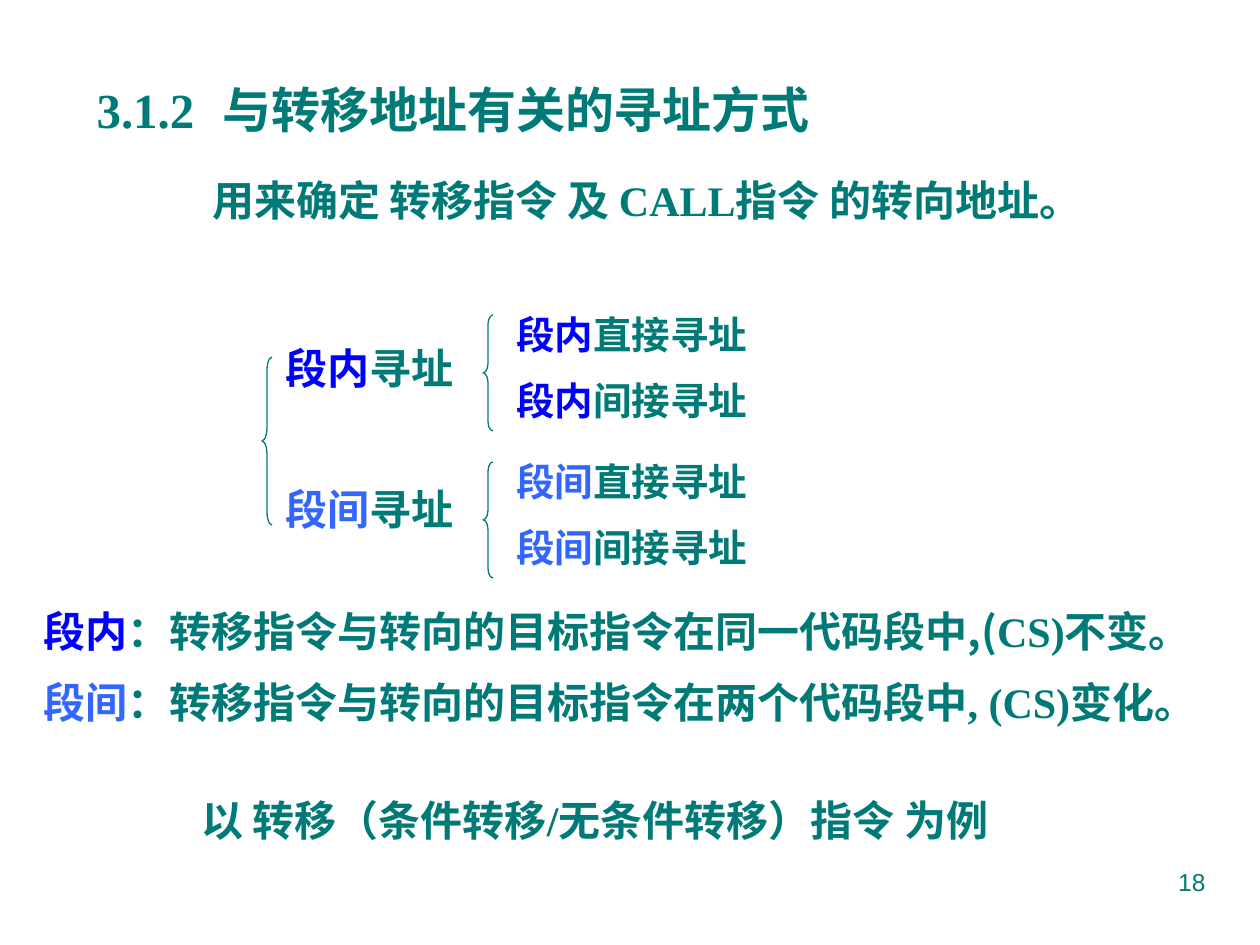
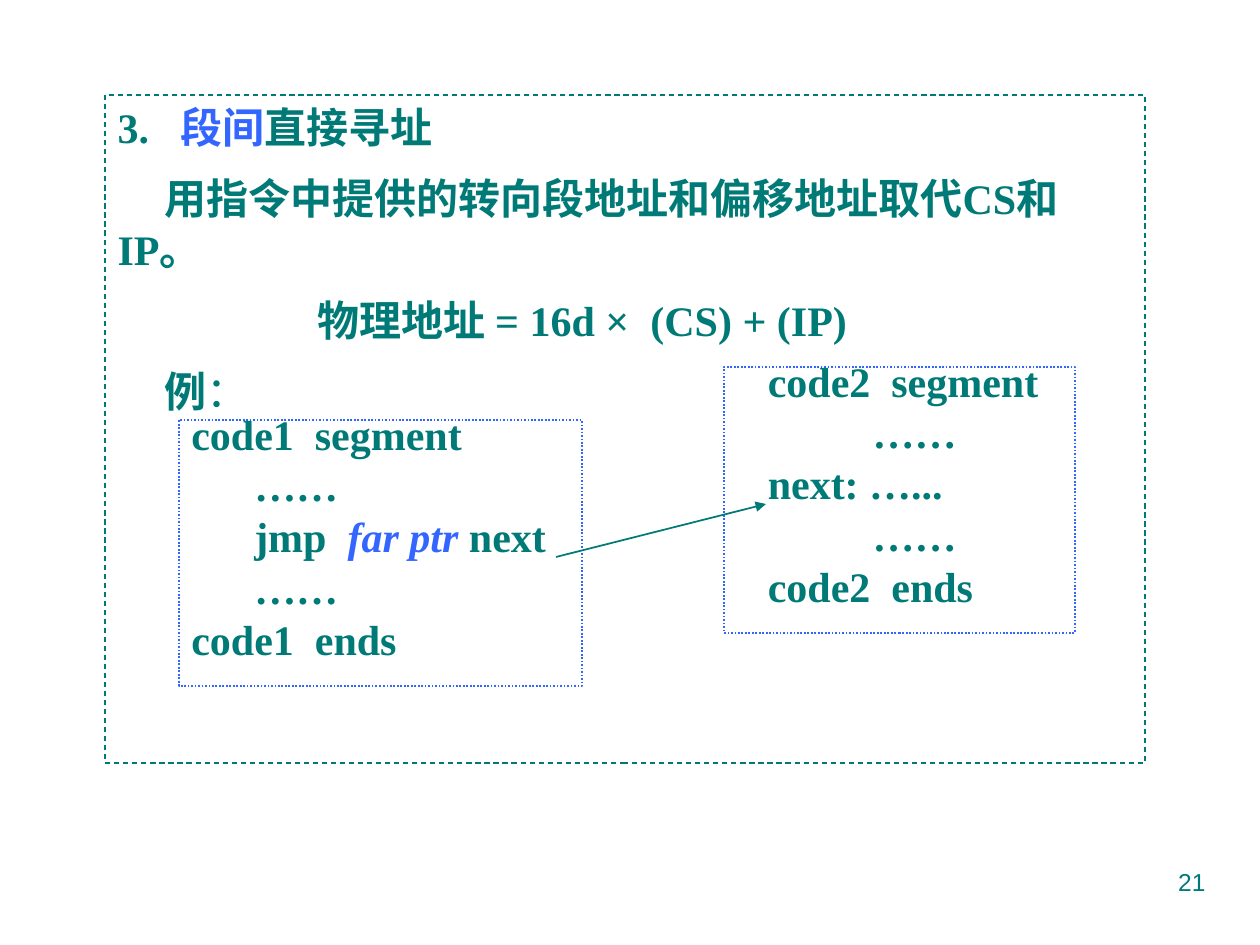
from lxml import etree
from pptx import Presentation
from pptx.dml.color import RGBColor
from pptx.enum.dml import MSO_LINE
from pptx.enum.shapes import MSO_CONNECTOR, MSO_SHAPE
from pptx.enum.text import MSO_ANCHOR, MSO_AUTO_SIZE, PP_ALIGN
from pptx.oxml.ns import qn
from pptx.util import Emu, Pt

TEAL = RGBColor(0x00, 0x7A, 0x77)
BLUE = RGBColor(0x00, 0x00, 0xFF)
SKY = RGBColor(0x33, 0x66, 0xFF)
LATIN, CJK, NUMERAL = "Times New Roman", "Noto Sans CJK SC", "Arial"
DASH, DOT = MSO_LINE.DASH, MSO_LINE.ROUND_DOT
LEFT, RIGHT = PP_ALIGN.LEFT, PP_ALIGN.RIGHT
TOP, NO_FIT = MSO_ANCHOR.TOP, MSO_AUTO_SIZE.NONE
RECTANGLE, BRACE = MSO_SHAPE.RECTANGLE, MSO_SHAPE.LEFT_BRACE
STRAIGHT = MSO_CONNECTOR.STRAIGHT
PX = 914400 / 126
BRACE_WIDTH = 10

INSIDE = ("段内", {"color": BLUE})
BETWEEN = ("段间", {"color": SKY})

HEADING = [["3.1.2\t与转移地址有关的寻址方式"]]
PURPOSE = [["用来确定 转移指令 及 CALL指令 的转向地址。"]]
KINDS = [[INSIDE, "寻址"], [BETWEEN, "寻址"]]
BRANCHES = [
    (INSIDE, 305),
    (BETWEEN, 452),
]
MODES = ["直接寻址", "间接寻址"]
DEFINITIONS = [
    [INSIDE, "：转移指令与转向的目标指令在同一代码段中", (",(", {"font": CJK}), "CS)", "不变。"],
    [BETWEEN, "：转移指令与转向的目标指令在两个代码段中, (CS)变化。"],
]
EXAMPLE_NOTE = [["以 转移（条件转移/无条件转移）指令 为例"]]

DIRECT_FAR = [
    ["3.\t", BETWEEN, "直接寻址"],
    ["用指令中提供的转向段地址和偏移地址取代CS和IP。"],
    ["物理地址 = 16d ×  (CS) + (IP)"],
    ["例", ("：", {"bold": False})],
]
DIRECT_FAR_INDENTS = [0, 47, 200, 47]
CODE_BLOCKS = [
    ((179, 420, 403, 266), [
        ["code1  segment"],
        ["      ……"],
        ["      jmp  ", ("far ptr", {"color": SKY, "italic": True}), " next"],
        ["      ……"],
        ["code1  ends"],
    ]),
    ((724, 367, 351, 266), [
        ["   code2  segment"],
        ["             ……"],
        ["   next: …..."],
        ["             ……"],
        ["   code2  ends"],
    ]),
]
JUMP = (556, 557, 766, 504)


def px(*lengths):
    return [Emu(round(length * PX)) for length in lengths]


def add_span(para, text, size=24, color=TEAL, font=LATIN, bold=True, italic=False):
    span = para.add_run()
    span.text = text
    span.font.size = Pt(size)
    span.font.name = font
    span.font.bold = bold
    span.font.italic = italic
    span.font.color.rgb = color
    etree.SubElement(span.font._element, qn("a:ea"), typeface=CJK)


def set_indent(para, indent, tab):
    props = para._p.get_or_add_pPr()
    props.set("marL", "0")
    props.set("indent", str(px(indent)[0]))
    etree.SubElement(props, qn("a:buNone"))
    if tab:
        stops = etree.SubElement(props, qn("a:tabLst"))
        etree.SubElement(stops, qn("a:tab"), pos=str(px(tab)[0]), algn="l")


def write(box, paras, indents=None, tab=None, gap=None, align=LEFT, spacing=1.0, size=24, **style):
    frame = box.text_frame
    frame.word_wrap = True
    frame.auto_size = NO_FIT
    frame.vertical_anchor = TOP
    for index, spans in enumerate(paras):
        para = frame.add_paragraph() if index else frame.paragraphs[0]
        set_indent(para, indents[index] if indents else 0, tab)
        para.alignment = align
        para.line_spacing = spacing
        para.space_before = Pt((gap or size / 2) if index else 0)
        for span in spans:
            text, changes = (span, {}) if isinstance(span, str) else span
            add_span(para, text, **{"size": size, **style, **changes})


def add_text(page, place, paras, **style):
    write(page.shapes.add_textbox(*px(*place)), paras, **style)


def fill_placeholder(box, place, paras, **style):
    box.left, box.top, box.width, box.height = px(*place)
    write(box, paras, **style)


def set_outline(box, color, width, dash=None):
    box.fill.background()
    box.line.color.rgb = color
    box.line.width = Pt(width)
    if dash:
        box.line.dash_style = dash


def add_outlined(page, kind, place, color, width, dash=None):
    box = page.shapes.add_shape(kind, *px(*place))
    box.shadow.inherit = False
    set_outline(box, color, width, dash)
    return box


def add_brace(page, left, top, height):
    brace = add_outlined(page, BRACE, (left, top, BRACE_WIDTH, height), TEAL, 0.75)
    brace.adjustments[0] = height / BRACE_WIDTH / 12.6


def add_arrow(page, ends):
    arrow = page.shapes.add_connector(STRAIGHT, *px(*ends))
    arrow.line.color.rgb = TEAL
    arrow.line.width = Pt(1)
    etree.SubElement(arrow.line._get_or_add_ln(), qn("a:tailEnd"), type="triangle")
    etree.SubElement(arrow._element.spPr, qn("a:effectLst"))


def add_page(deck, number):
    page = deck.slides.add_slide(deck.slide_layouts[1])
    add_text(page, (903, 861, 315, 66), [[number]], size=14, font=NUMERAL, bold=False, align=RIGHT)
    return page


def build_overview(deck):
    page = add_page(deck, "18")
    fill_placeholder(page.shapes.title, (84, 73, 1050, 72), HEADING, size=28, tab=135)
    add_text(page, (116, 168, 1029, 63), PURPOSE, indents=[84])
    add_text(page, (273, 336, 903, 214), KINDS, gap=52)
    add_brace(page, 262, 357, 168)
    for kind, top in BRANCHES:
        add_brace(page, 483, top + 10, 116)
        add_text(page, (504, top, 347, 129), [[kind, mode] for mode in MODES], size=22)
    add_text(page, (189, 788, 814, 63), EXAMPLE_NOTE)
    fill_placeholder(page.placeholders[1], (31, 599, 1176, 139), DEFINITIONS)


def build_direct_far(deck):
    page = add_page(deck, "21")
    title = page.shapes.title._element
    title.getparent().remove(title)
    body = page.placeholders[1]
    fill_placeholder(body, (105, 95, 1040, 668), DIRECT_FAR, indents=DIRECT_FAR_INDENTS, tab=62)
    set_outline(body, TEAL, 0.75, DASH)
    for place, code in CODE_BLOCKS:
        block = add_outlined(page, RECTANGLE, place, SKY, 1, DOT)
        write(block, code, spacing=0.6)
    add_arrow(page, JUMP)


def main():
    deck = Presentation()
    deck.slide_width, deck.slide_height = px(1260, 945)
    build_overview(deck)
    build_direct_far(deck)
    deck.save("out.pptx")


if __name__ == "__main__":
    main()
